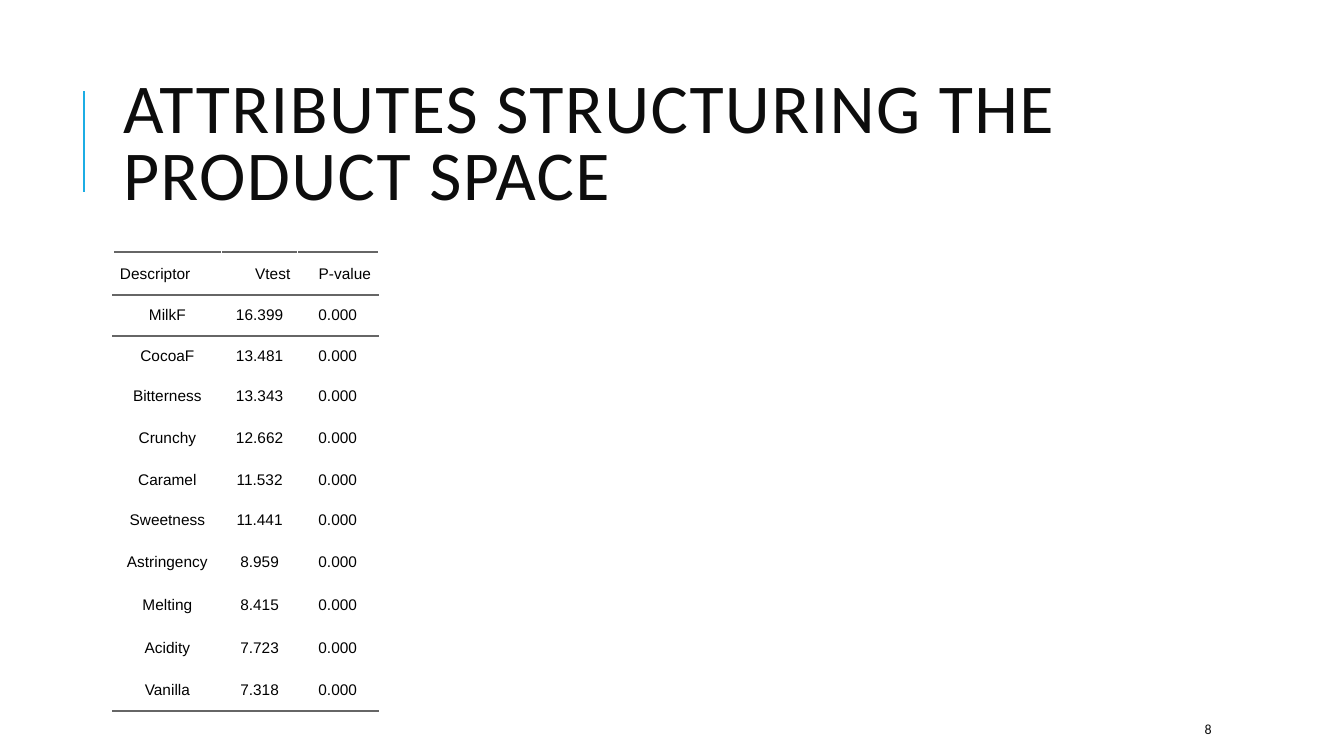
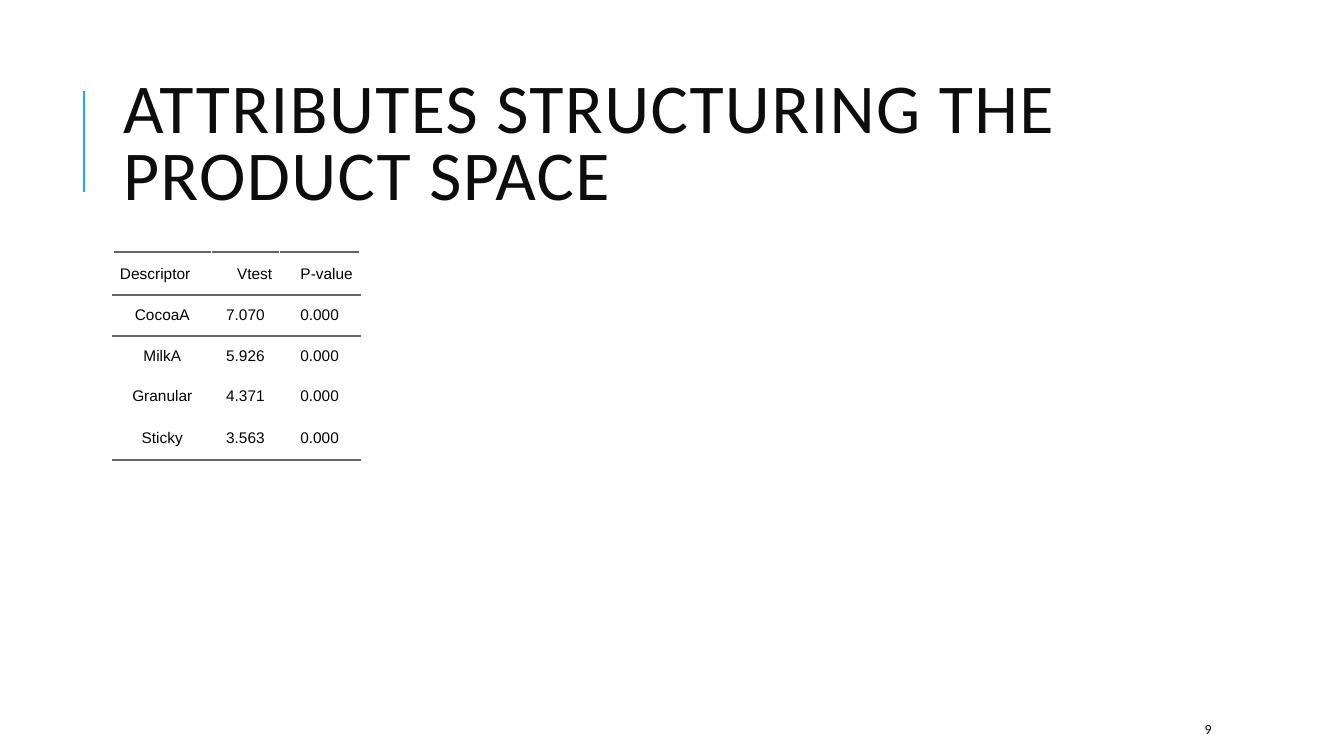
from lxml import etree
from pptx import Presentation
from pptx.dml.color import RGBColor
from pptx.enum.shapes import MSO_CONNECTOR
from pptx.enum.text import MSO_ANCHOR, MSO_AUTO_SIZE, PP_ALIGN
from pptx.oxml.ns import qn
from pptx.util import Inches, Pt

STRAIGHT = MSO_CONNECTOR.STRAIGHT
MIDDLE = MSO_ANCHOR.MIDDLE
NO_FIT = MSO_AUTO_SIZE.NONE
LEFT, CENTER, RIGHT = PP_ALIGN.LEFT, PP_ALIGN.CENTER, PP_ALIGN.RIGHT

# Shared look
BLUE = RGBColor(0x1C, 0xAD, 0xE4)
INK = RGBColor(0x0D, 0x0D, 0x0D)
BLACK = RGBColor(0, 0, 0)
GRAY = RGBColor(0x66, 0x66, 0x66)
HEAD_FONT, CELL_FONT = "Calibri", "Arial"
RULE = Pt(1.5)
PAD = Inches(0.07)

# Shared grid, in inches
WIDE, HIGH = 13.33, 7.5
EDGE, TOP = 1.12, 2.5
TALL, SHORT = 0.43, 0.4
ROWS = [TALL, SHORT, SHORT, SHORT, TALL, SHORT, SHORT, TALL, TALL, TALL, SHORT]

# Content
TITLE = "ATTRIBUTES STRUCTURING THE PRODUCT SPACE"
HEADS = ["Descriptor", "Vtest", "P-value"]
ALIGNS = [LEFT, RIGHT, RIGHT]
PVALUE = "0.000"
SLIDES = [
    (8, [1.08, 0.75, 0.8], [
        ("MilkF", "16.399"), ("CocoaF", "13.481"), ("Bitterness", "13.343"),
        ("Crunchy", "12.662"), ("Caramel", "11.532"), ("Sweetness", "11.441"),
        ("Astringency", "8.959"), ("Melting", "8.415"), ("Acidity", "7.723"),
        ("Vanilla", "7.318")]),
    (9, [0.98, 0.67, 0.8], [
        ("CocoaA", "7.070"), ("MilkA", "5.926"), ("Granular", "4.371"),
        ("Sticky", "3.563")]),
]


def box(*lengths):
    return [Inches(length) for length in lengths]


def style(par, font, size, color, align=LEFT):
    par.alignment = align
    par.font.name = font
    par.font.size = Pt(size)
    par.font.color.rgb = color


def add_title(slide):
    title = slide.shapes.title
    title.left, title.top, title.width, title.height = box(EDGE, 0.64, 10.63, 1.64)
    frame = title.text_frame
    frame.text = TITLE
    frame.word_wrap = True
    frame.auto_size = NO_FIT
    frame.vertical_anchor = MIDDLE
    par = frame.paragraphs[0]
    par.line_spacing = 0.8
    style(par, HEAD_FONT, 50, INK)
    # Letter spacing of one point
    par.runs[0].font._element.set("spc", "100")


def add_bar(slide):
    bar = slide.shapes.add_connector(STRAIGHT, *box(0.83, 1.9, 0.83, 0.9))
    bar.line.color.rgb = BLUE
    bar.line.width = RULE
    etree.SubElement(bar._element.spPr, qn("a:effectLst"))


def add_number(slide, number):
    frame = slide.shapes.add_textbox(*box(11.85, 7.08, 1.06, 0.3)).text_frame
    frame.text = str(number)
    frame.word_wrap = True
    frame.vertical_anchor = MIDDLE
    style(frame.paragraphs[0], HEAD_FONT, 10, INK)


def add_rule(cell, side):
    line = etree.SubElement(cell._tc.get_or_add_tcPr(), qn(side), w=str(RULE))
    fill = etree.SubElement(line, qn("a:solidFill"))
    etree.SubElement(fill, qn("a:srgbClr"), val=str(GRAY))


def fill_cell(cell, text, align, sides):
    cell.text = text
    cell.vertical_anchor = MIDDLE
    cell.margin_left = cell.margin_right = PAD
    cell.margin_top = cell.margin_bottom = 0
    par = cell.text_frame.paragraphs[0]
    par.space_before = par.space_after = Pt(5)
    style(par, CELL_FONT, 11, BLACK, align)
    # Borders come before the fill in the cell properties
    for side in sides:
        add_rule(cell, side)
    cell.fill.background()


def add_grid(slide, widths, pairs):
    data = [HEADS] + [(name, vtest, PVALUE) for name, vtest in pairs]
    last = len(data) - 1
    heights = ROWS[:len(data)]
    table = slide.shapes.add_table(
        len(data), len(HEADS),
        *box(EDGE, TOP, sum(widths), sum(heights))).table
    table.first_row = table.horz_banding = False
    for col, width in zip(table.columns, widths):
        col.width = Inches(width)
    for row, height in zip(table.rows, heights):
        row.height = Inches(height)
    # Rules above and below the heads, and below the last row
    for r, texts in enumerate(data):
        sides = ["a:lnT"] if r < 2 else []
        if r in (0, last):
            sides.append("a:lnB")
        for c, text in enumerate(texts):
            align = CENTER if r else ALIGNS[c]
            fill_cell(table.cell(r, c), text, align, sides)


def main():
    prs = Presentation()
    prs.slide_width, prs.slide_height = box(WIDE, HIGH)
    for number, widths, pairs in SLIDES:
        slide = prs.slides.add_slide(prs.slide_layouts[5])
        add_bar(slide)
        add_title(slide)
        add_grid(slide, widths, pairs)
        add_number(slide, number)
    prs.save("out.pptx")


if __name__ == "__main__":
    main()
